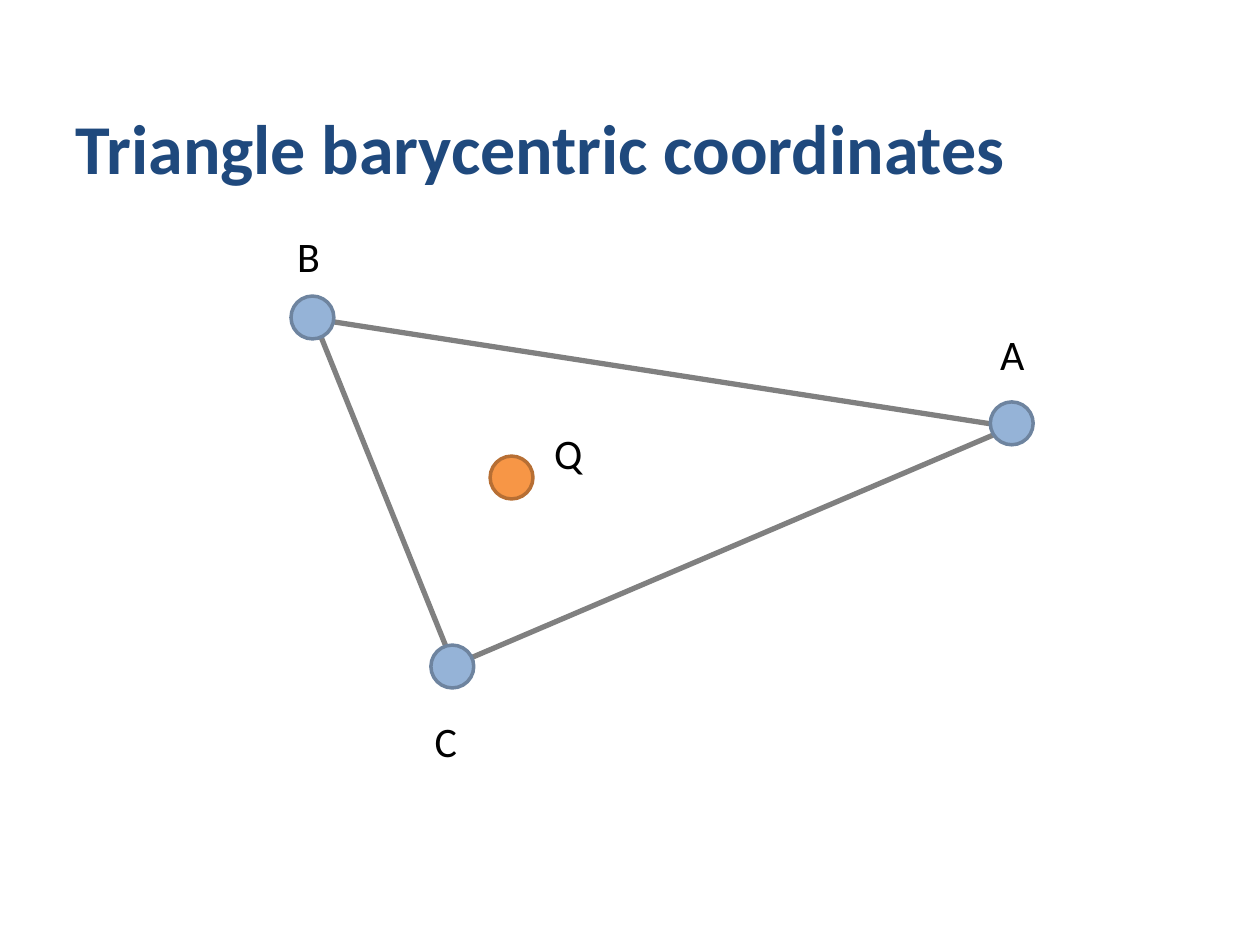
import pptx
import pptx.util
import pptx.dml.color
import pptx.enum.shapes
import pptx.enum.text

Inches = pptx.util.Inches
Pt = pptx.util.Pt
RGBColor = pptx.dml.color.RGBColor

NAVY = RGBColor(0x1F, 0x49, 0x7D)
BLACK = RGBColor(0x00, 0x00, 0x00)
GRAY = RGBColor(0x80, 0x80, 0x80)
BLUE = RGBColor(0x95, 0xB3, 0xD7)
BLUE_EDGE = RGBColor(0x6E, 0x84, 0x9F)
ORANGE = RGBColor(0xF7, 0x96, 0x46)
ORANGE_EDGE = RGBColor(0xB7, 0x6F, 0x34)

FONT = "Calibri"
DOT = 0.34  # diameter of a point marker

# Triangle corners and the centres of the point markers
CORNERS = [(2.49, 2.53), (3.6, 5.28), (8.03, 3.39)]
VERTICES = [(2.48, 2.52), (3.59, 5.29), (8.03, 3.36)]
QUERY = (4.06, 3.79)

# Label text, left, top, width
LABELS = [
    ("A", 7.84, 2.56, 0.4),
    ("B", 2.26, 1.78, 0.38),
    ("C", 3.35, 5.63, 0.38),
    ("Q", 4.3, 3.34, 0.43),
]


def set_font(p, size, color, bold=False):
    p.font.name = FONT
    p.font.size = Pt(size)
    p.font.color.rgb = color
    p.font.bold = bold


def set_title(s, text):
    sp = s.shapes.title
    sp.left, sp.top = Inches(0.5), Inches(0.13)
    sp.width, sp.height = Inches(8.25), Inches(1.42)
    tf = sp.text_frame
    tf.vertical_anchor = pptx.enum.text.MSO_ANCHOR.BOTTOM
    p = tf.paragraphs[0]
    p.text = text
    p.alignment = pptx.enum.text.PP_ALIGN.LEFT
    set_font(p, 40, NAVY, bold=True)


def add_triangle(s, corners):
    points = [(Inches(x), Inches(y)) for x, y in corners]
    builder = s.shapes.build_freeform(*points[0])
    builder.add_line_segments(points[1:], close=True)
    sp = builder.convert_to_shape()
    sp.shadow.inherit = False
    sp.fill.background()
    sp.line.color.rgb = GRAY
    sp.line.width = Pt(3)


def add_dot(s, center, fill, edge):
    x, y = center
    sp = s.shapes.add_shape(
        pptx.enum.shapes.MSO_SHAPE.OVAL,
        Inches(x - DOT / 2), Inches(y - DOT / 2), Inches(DOT), Inches(DOT))
    sp.shadow.inherit = False
    sp.fill.solid()
    sp.fill.fore_color.rgb = fill
    sp.line.color.rgb = edge
    sp.line.width = Pt(2)


def add_label(s, text, left, top, width):
    sp = s.shapes.add_textbox(
        Inches(left), Inches(top), Inches(width), Inches(0.5))
    tf = sp.text_frame
    tf.word_wrap = False
    tf.auto_size = pptx.enum.text.MSO_AUTO_SIZE.SHAPE_TO_FIT_TEXT
    p = tf.paragraphs[0]
    p.text = text
    set_font(p, 24, BLACK)


def main():
    prs = pptx.Presentation()
    prs.slide_width, prs.slide_height = Inches(10), Inches(7.5)
    s = prs.slides.add_slide(prs.slide_layouts[5])  # Title Only

    set_title(s, "Triangle barycentric coordinates")

    # Triangle with its vertices and the inner point
    add_triangle(s, CORNERS)
    for center in VERTICES:
        add_dot(s, center, BLUE, BLUE_EDGE)
    add_dot(s, QUERY, ORANGE, ORANGE_EDGE)

    # Point names
    for label in LABELS:
        add_label(s, *label)

    prs.save("out.pptx")


if __name__ == "__main__":
    main()
